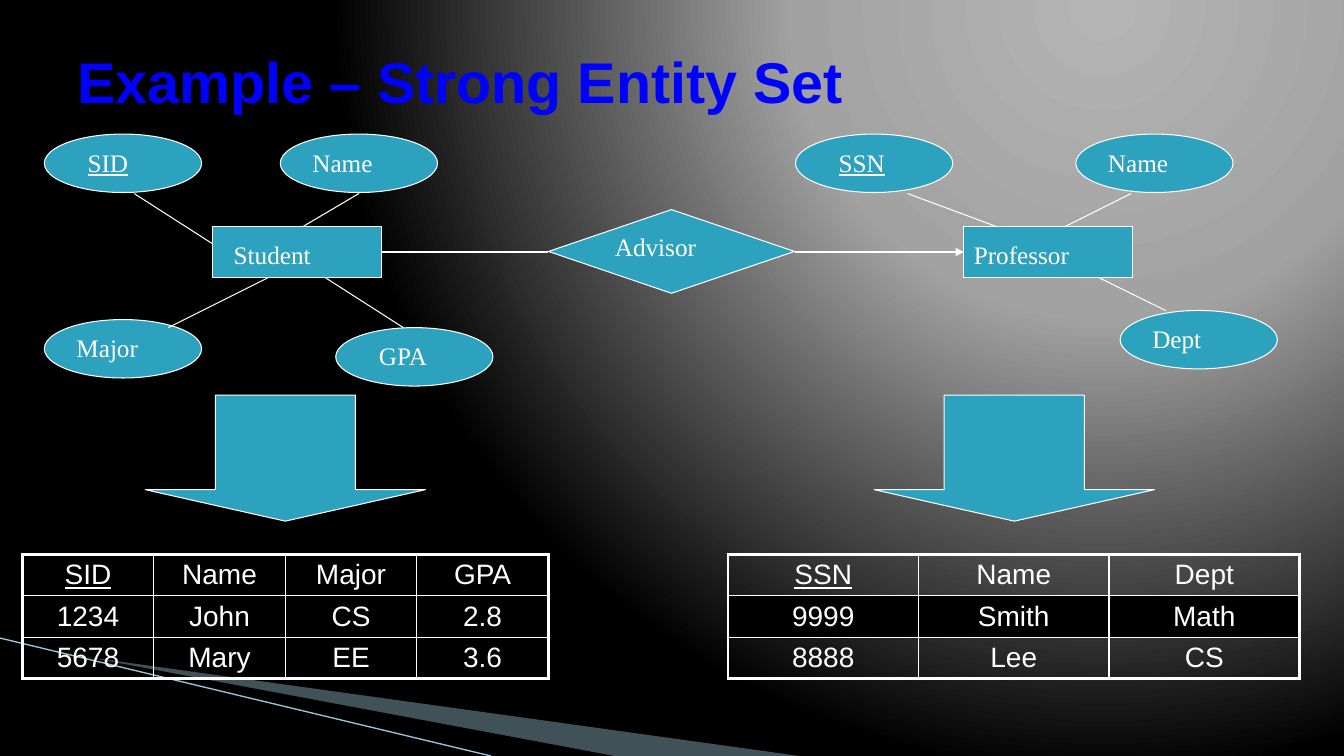
from pptx import Presentation
from pptx.dml.color import RGBColor
from pptx.enum.shapes import MSO_CONNECTOR as LINK, MSO_SHAPE as SHAPE
from pptx.enum.text import MSO_ANCHOR as ANCHOR, MSO_AUTO_SIZE as FIT, PP_ALIGN as ALIGN
from pptx.oxml import parse_xml
from pptx.oxml.ns import nsdecls, qn
from pptx.util import Inches, Pt
from lxml.etree import SubElement

HUES = {
    "white": "FFFFFF", "black": "000000", "teal": "2DA2BF", "title": "0000FF",
    "wedge": "A0CBDC", "streak": "97C5D8",
    "glow": "B4B4B4", "grey": "A2A2A2",
}
SERIF, SANS = "Times New Roman", "Arial"
KEYS = ("SID", "SSN")
OVAL = (1.56, 0.58)
ENTITY = (1.67, 0.5)


def hue(name):
    return RGBColor.from_string(HUES[name])


def paint_back(slide):
    """Fill the background with a glow centred near the top right."""
    slide.background.fill.solid()
    props = slide.element.find(".//" + qn("p:bgPr"))
    stops = "".join(
        f'<a:gs pos="{pos * 1000}"><a:srgbClr val="{HUES[name]}"/></a:gs>'
        for pos, name in ((0, "glow"), (40, "grey"), (100, "black")))
    grad = parse_xml(
        f'<a:gradFill {nsdecls("a")} rotWithShape="1"><a:gsLst>{stops}</a:gsLst>'
        '<a:path path="circle"><a:fillToRect l="65000" t="0" r="0" b="98000"/></a:path>'
        '</a:gradFill>')
    props.replace(props[0], grad)


def add_wedge(slide, points, name, alpha=100):
    start, *rest = [(Inches(x), Inches(y)) for x, y in points]
    pen = slide.shapes.build_freeform(*start)
    pen.add_line_segments(rest)
    wedge = pen.convert_to_shape()
    wedge.shadow.inherit = False
    wedge.fill.solid()
    wedge.fill.fore_color.rgb = hue(name)
    wedge.line.fill.background()
    if alpha < 100:
        tint = wedge.fill._xPr.find(".//" + qn("a:srgbClr"))
        SubElement(tint, qn("a:alpha"), val=str(alpha * 1000))


def add_line(slide, start, end, name="white", width=0.75, arrow=False):
    ends = [Inches(v) for v in (*start, *end)]
    link = slide.shapes.add_connector(LINK.STRAIGHT, *ends)
    link.line.color.rgb = hue(name)
    link.line.width = Pt(width)
    if arrow:
        SubElement(link.line._get_or_add_ln(), qn("a:tailEnd"), type="triangle")
    SubElement(link._element.spPr, qn("a:effectLst"))


def add_run(para, text, size, font, name="white", bold=False):
    run = para.add_run()
    run.text = text
    run.font.size = Pt(size)
    run.font.name = font
    run.font.bold = bold
    run.font.underline = text in KEYS
    run.font.color.rgb = hue(name)


def add_text(slide, box, text, size=18, font=SERIF, name="white", bold=False):
    frame = slide.shapes.add_textbox(*map(Inches, box)).text_frame
    frame.word_wrap = True
    add_run(frame.paragraphs[0], text, size, font, name, bold)
    return frame


def add_node(slide, kind, spot, size):
    node = slide.shapes.add_shape(kind, *map(Inches, (*spot, *size)))
    node.shadow.inherit = False
    node.fill.solid()
    node.fill.fore_color.rgb = hue("teal")
    node.line.color.rgb = hue("white")
    node.line.width = Pt(0.75)
    return node


def add_label(slide, kind, spot, size, text, inset, drop=0.08):
    """Draw a node with its name in a text box set in from its left edge."""
    add_node(slide, kind, spot, size)
    box = (spot[0] + inset, spot[1] + drop, size[0] - inset + 0.11, 0.4)
    add_text(slide, box, text).auto_size = FIT.SHAPE_TO_FIT_TEXT


def set_edges(cell, edges):
    props = cell._tc.get_or_add_tcPr()
    for spot, (side, thick) in enumerate(edges):
        width = Pt(2.25 if thick else 1)
        props.insert(spot, parse_xml(
            f'<a:{side} {nsdecls("a")} w="{width}"><a:solidFill>'
            f'<a:srgbClr val="{HUES["white"]}"/></a:solidFill></a:{side}>'))


def add_grid(slide, left, width, rows):
    """Draw a table with a thick frame and a black middle row."""
    high, wide = len(rows), len(rows[0])
    size = (left, 5.5, width, 0.41 * high)
    grid = slide.shapes.add_table(high, wide, *map(Inches, size)).table
    grid.first_row = grid.horz_banding = False
    for r, row in enumerate(rows):
        for c, text in enumerate(row):
            cell = grid.cell(r, c)
            cell.margin_left = cell.margin_right = Inches(0.13)
            cell.margin_top = cell.margin_bottom = Inches(0.05)
            if r == 1:
                cell.fill.solid()
                cell.fill.fore_color.rgb = hue("black")
            else:
                cell.fill.background()
            set_edges(cell, (("lnL", c == 0), ("lnR", c == wide - 1),
                             ("lnT", r == 0), ("lnB", r == high - 1)))
            para = cell.text_frame.paragraphs[0]
            para.alignment = ALIGN.CENTER
            add_run(para, text, 20, SANS)


def main():
    deck = Presentation()
    deck.slide_width, deck.slide_height = Inches(13.33), Inches(7.5)
    slide = deck.slides.add_slide(deck.slide_layouts[6])

    paint_back(slide)
    add_wedge(slide, [(0.73, 6.5), (7.93, 7.5), (6.08, 7.5)], "wedge", 40)
    add_wedge(slide, [(0.71, 6.49), (6.09, 7.5), (4.96, 7.5)], "black")
    add_line(slide, (0, 6.33), (4.87, 7.5), "streak", 0.95)

    add_grid(slide, 0.22, 5.22, [("SID", "Name", "Major", "GPA"),
                                 ("1234", "John", "CS", "2.8"),
                                 ("5678", "Mary", "EE", "3.6")])
    add_grid(slide, 7.22, 5.67, [("SSN", "Name", "Dept"),
                                 ("9999", "Smith", "Math"),
                                 ("8888", "Lee", "CS")])

    title = add_text(slide, (0.67, 0.17, 12, 1.25), "Example – Strong Entity Set",
                     41, SANS, "title", True)
    title.vertical_anchor = ANCHOR.MIDDLE

    for x, y, text, inset in ((0.44, 1.33, "SID", 0.33), (2.78, 1.33, "Name", 0.22),
                              (0.44, 3.17, "Major", 0.22), (3.33, 3.25, "GPA", 0.33),
                              (7.89, 1.33, "SSN", 0.33), (10.67, 1.33, "Name", 0.22),
                              (11.11, 3.08, "Dept", 0.22)):
        add_label(slide, SHAPE.OVAL, (x, y), OVAL, text, inset)
    add_label(slide, SHAPE.RECTANGLE, (2.11, 2.25), ENTITY, "Student", 0.11)
    add_label(slide, SHAPE.RECTANGLE, (9.56, 2.25), ENTITY, "Professor", 0)
    add_label(slide, SHAPE.FLOWCHART_DECISION, (5.44, 2.08), (2.44, 0.83),
              "Advisor", 0.56, 0.17)

    for start, end in (((1.33, 1.92), (2.11, 2.42)), ((3.56, 1.92), (3, 2.25)),
                       ((4, 3.25), (3.22, 2.75)), ((1.67, 3.25), (2.67, 2.75)),
                       ((9, 1.92), (9.89, 2.25)), ((11.22, 1.92), (10.56, 2.25)),
                       ((11.56, 3.08), (10.89, 2.75)), ((3.78, 2.5), (5.44, 2.5))):
        add_line(slide, start, end)
    add_line(slide, (7.89, 2.5), (9.56, 2.5), arrow=True)

    for x in (1.44, 8.67):
        arrow = add_node(slide, SHAPE.DOWN_ARROW, (x, 3.92), (2.78, 1.25))
        arrow.adjustments[0], arrow.adjustments[1] = 0.5, 0.25

    deck.save("out.pptx")


if __name__ == "__main__":
    main()
